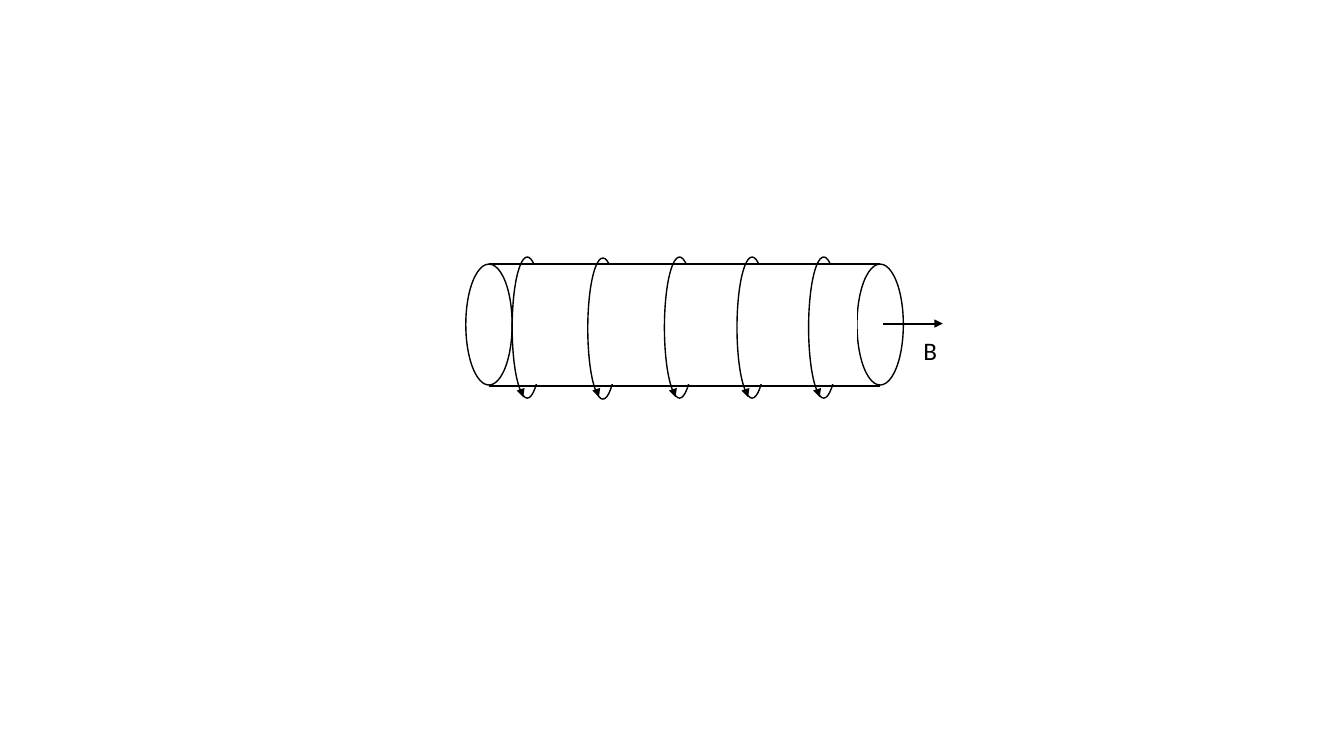
from pptx import Presentation
from pptx.dml.color import RGBColor
from pptx.enum.shapes import MSO_CONNECTOR, MSO_SHAPE
from pptx.enum.text import MSO_AUTO_SIZE
from pptx.oxml.ns import qn
from pptx.util import Inches, Pt
from lxml import etree

OVAL, RECT = MSO_SHAPE.OVAL, MSO_SHAPE.RECTANGLE
LINE = MSO_CONNECTOR.STRAIGHT
GROW = MSO_AUTO_SIZE.SHAPE_TO_FIT_TEXT
BLACK = RGBColor(0, 0, 0)
WHITE = RGBColor(255, 255, 255)

# Content: wire turns as (left, top, mask left, mask width)
TURNS = [
    (5.08, 2.55, 5.23, 0.33),
    (5.83, 2.56, 6.0, 0.33),
    (6.59, 2.55, 6.69, 0.54),
    (7.31, 2.55, 7.46, 0.33),
    (8.02, 2.55, 8.17, 0.33),
]
FIELD = "B"

# Cylinder measures
ENDS = (4.62, 8.5)
TOP, END_W, END_H = 2.62, 0.46, 1.2
TURN_W, TURN_H = 0.3, 1.4
MASK_TOP, MASK_H = 2.63, 1.18


def add_form(group, kind, left, top, width, height):
    form = group.shapes.add_shape(
        kind, Inches(left), Inches(top), Inches(width), Inches(height))
    form.shadow.inherit = False
    return form


def add_oval(group, *box):
    oval = add_form(group, OVAL, *box)
    oval.fill.background()
    oval.line.color.rgb = BLACK
    oval.line.width = Pt(1)


def add_mask(group, *box):
    mask = add_form(group, RECT, *box)
    mask.fill.solid()
    mask.fill.fore_color.rgb = WHITE
    mask.line.fill.background()


def add_line(group, x1, y1, x2, y2, weight=1, arrow=False):
    line = group.shapes.add_connector(
        LINE, Inches(x1), Inches(y1), Inches(x2), Inches(y2))
    line.line.color.rgb = BLACK
    line.line.width = Pt(weight)
    if arrow:
        etree.SubElement(line.line._get_or_add_ln(), qn("a:tailEnd"),
                         type="triangle")
    etree.SubElement(line._element.spPr, qn("a:effectLst"))


def main():
    deck = Presentation()
    deck.slide_width, deck.slide_height = Inches(13.33), Inches(7.5)
    slide = deck.slides.add_slide(deck.slide_layouts[6])
    coil = slide.shapes.add_group_shape()

    # Cylinder: two ends and two edges
    for left in ENDS:
        add_oval(coil, left, TOP, END_W, END_H)
    start, stop = (left + END_W / 2 for left in ENDS)
    for y in (TOP, 3.83):
        add_line(coil, start, y, stop, y)

    # Turns, each with its far half masked and an arrow at the foot
    for left, top, mask, width in TURNS:
        add_oval(coil, left, top, TURN_W, TURN_H)
        add_mask(coil, mask, MASK_TOP, width, MASK_H)
        add_line(coil, left + 0.09, 3.88, left + 0.11, 3.94, 0.5, True)

    # Field arrow and label
    add_line(coil, 8.76, 3.21, 9.35, 3.21, 1.5, True)
    label = coil.shapes.add_textbox(
        Inches(9.06), Inches(3.28), Inches(0.39), Inches(0.4))
    frame = label.text_frame
    frame.word_wrap = True
    frame.auto_size = GROW
    text = frame.paragraphs[0]
    text.text = FIELD
    text.font.name = "Calibri"
    text.font.size = Pt(18)
    text.font.color.rgb = BLACK

    deck.save("out.pptx")


if __name__ == "__main__":
    main()
